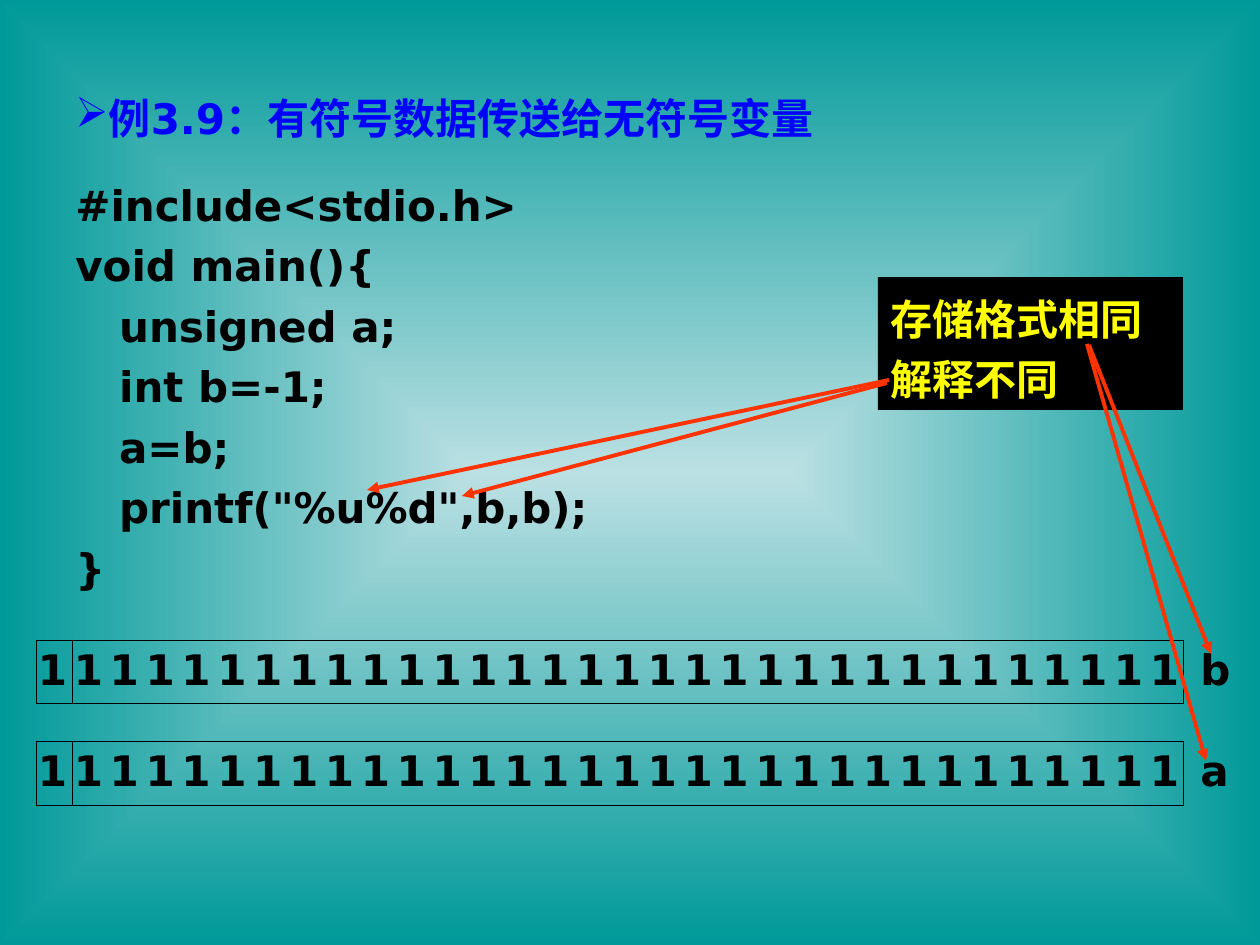
"""Build the slide on passing signed data to an unsigned variable."""
from dataclasses import dataclass

from lxml.etree import SubElement
from pptx import Presentation
from pptx.dml.color import RGBColor
from pptx.enum.shapes import MSO_CONNECTOR, MSO_SHAPE
from pptx.enum.text import MSO_ANCHOR, PP_ALIGN
from pptx.oxml.ns import qn
from pptx.util import Emu, Pt

RECTANGLE = MSO_SHAPE.RECTANGLE
STRAIGHT = MSO_CONNECTOR.STRAIGHT
MIDDLE, TOP = MSO_ANCHOR.MIDDLE, MSO_ANCHOR.TOP
LEFT, JUSTIFY = PP_ALIGN.LEFT, PP_ALIGN.JUSTIFY

PALE = RGBColor(0xBB, 0xE0, 0xE3)
TEAL = RGBColor(0x00, 0x99, 0x99)
BLUE = RGBColor(0x00, 0x00, 0xFF)
BLACK = RGBColor(0x00, 0x00, 0x00)
YELLOW = RGBColor(0xFF, 0xFF, 0x00)
ORANGE = RGBColor(0xFF, 0x33, 0x00)

FONT, SIZE = "DejaVu Sans", Pt(24)
EMU_PER_PX = 914400 / 126
BITS = 32
CODE = """#include<stdio.h>
void main(){
   unsigned a;
   int b=-1;
   a=b;
   printf("%u%d",b,b);
}"""


@dataclass(frozen=True)
class Arrow:
    """A straight arrow from its start to its head, in px."""
    x1: int
    y1: int
    x2: int
    y2: int


ARROWS = (
    Arrow(889, 380, 367, 490),
    Arrow(887, 383, 462, 496),
    Arrow(1089, 345, 1211, 654),
    Arrow(1087, 344, 1206, 761),
)


def px(length: int) -> Emu:
    """Turn px into EMU."""
    return Emu(round(length * EMU_PER_PX))


def style(frame, color: RGBColor, align=LEFT, spacing: float = 1.0) -> None:
    """Format every paragraph and run of a text frame."""
    for para in frame.paragraphs:
        para.alignment = align
        para.line_spacing = spacing
        for span in para.runs:
            span.font.name = FONT
            span.font.size = SIZE
            span.font.bold = True
            span.font.color.rgb = color


def paint_background(page) -> None:
    """Fill the page with a gradient spreading from its centre."""
    fill = page.background.fill
    fill.gradient()
    for stop, color in zip(fill.gradient_stops, (PALE, TEAL)):
        stop.color.rgb = color
    gradient = page.element.find(".//" + qn("a:gradFill"))
    gradient.remove(gradient.find(qn("a:lin")))
    center = SubElement(gradient, qn("a:path"), {"path": "rect"})
    SubElement(center, qn("a:fillToRect"), dict.fromkeys("ltrb", "50000"))


def add_title(page) -> None:
    """Add the bulleted heading."""
    box = page.shapes.add_textbox(px(63), px(86), px(1134), px(63))
    frame = box.text_frame
    frame.word_wrap = True
    frame.vertical_anchor = MIDDLE
    frame.text = "例3.9：有符号数据传送给无符号变量"
    properties = frame.paragraphs[0]._p.get_or_add_pPr()
    bullet_color = SubElement(properties, qn("a:buClr"))
    SubElement(bullet_color, qn("a:srgbClr"), {"val": str(BLUE)})
    SubElement(properties, qn("a:buChar"), {"char": "➢"})
    style(frame, BLUE)


def add_code(page) -> None:
    """Add the program listing."""
    box = page.shapes.add_textbox(px(63), px(163), px(593), px(436))
    box.text_frame.word_wrap = True
    box.text_frame.text = CODE
    style(box.text_frame, BLACK, JUSTIFY, 1.2)


def add_callout(page) -> None:
    """Add the black remark box."""
    box = page.shapes.add_shape(RECTANGLE, px(878), px(277), px(305), px(133))
    box.shadow.inherit = False
    box.fill.solid()
    box.fill.fore_color.rgb = BLACK
    box.line.fill.background()
    box.text_frame.word_wrap = True
    box.text_frame.vertical_anchor = TOP
    box.text_frame.text = "存储格式相同\n解释不同"
    style(box.text_frame, YELLOW, JUSTIFY, 1.2)


def set_borders(cell, solid_edges: str) -> None:
    """Draw the named edges (of L, R, T, B) and hide the others."""
    properties = cell._tc.get_or_add_tcPr()
    for position, edge in enumerate("LRTB"):
        line = SubElement(properties, qn(f"a:ln{edge}"), {"w": str(Pt(0.45))})
        if edge in solid_edges:
            fill = SubElement(line, qn("a:solidFill"))
            SubElement(fill, qn("a:srgbClr"), {"val": str(BLACK)})
        else:
            SubElement(line, qn("a:noFill"))
        properties.insert(position, line)


def edges_of(row: int, column: int) -> str:
    """Name the solid edges of a cell in the bit table."""
    if column == BITS:
        return "" if row == 1 else "L"
    if row == 1:
        return "TB"
    left = "L" if column in (0, 1) else ""
    right = "R" if column in (0, BITS - 1) else ""
    return "TB" + left + right


def add_bit_table(page) -> None:
    """Add the two rows of stored bits with their variable names."""
    frame = page.shapes.add_table(3, BITS + 1, px(36), px(640), px(1198), px(165))
    table = frame.table
    table.first_row = table.horz_banding = False
    for row, height in zip(table.rows, (63, 38, 64)):
        row.height = px(height)
    for column in table.columns:
        column.width = Emu(px(1148) // BITS)
    table.columns[BITS].width = px(50)
    names = (" b", "", " a")
    for row, name in enumerate(names):
        for column in range(BITS + 1):
            cell = table.cell(row, column)
            cell.fill.background()
            cell.margin_left = cell.margin_right = px(2)
            set_borders(cell, edges_of(row, column))
            if name:
                cell.text = name if column == BITS else "1"
                style(cell.text_frame, BLACK)
            else:
                cell.margin_top = cell.margin_bottom = 0
                para = cell.text_frame.paragraphs[0]
                SubElement(para._p, qn("a:endParaRPr"), {"sz": "1200"})


def add_arrow(page, arrow: Arrow) -> None:
    """Add one orange arrow."""
    line = page.shapes.add_connector(
        STRAIGHT, px(arrow.x1), px(arrow.y1), px(arrow.x2), px(arrow.y2))
    line.line.color.rgb = ORANGE
    line.line.width = Pt(2.25)
    SubElement(line.line._get_or_add_ln(), qn("a:tailEnd"), {"type": "triangle"})
    SubElement(line._element.spPr, qn("a:effectLst"))


def main() -> None:
    """Build and save the deck."""
    deck = Presentation()
    deck.slide_width, deck.slide_height = px(1260), px(945)
    page = deck.slides.add_slide(deck.slide_layouts[6])
    paint_background(page)
    add_title(page)
    add_code(page)
    add_bit_table(page)
    add_callout(page)
    for arrow in ARROWS:
        add_arrow(page, arrow)
    deck.save("out.pptx")


if __name__ == "__main__":
    main()
